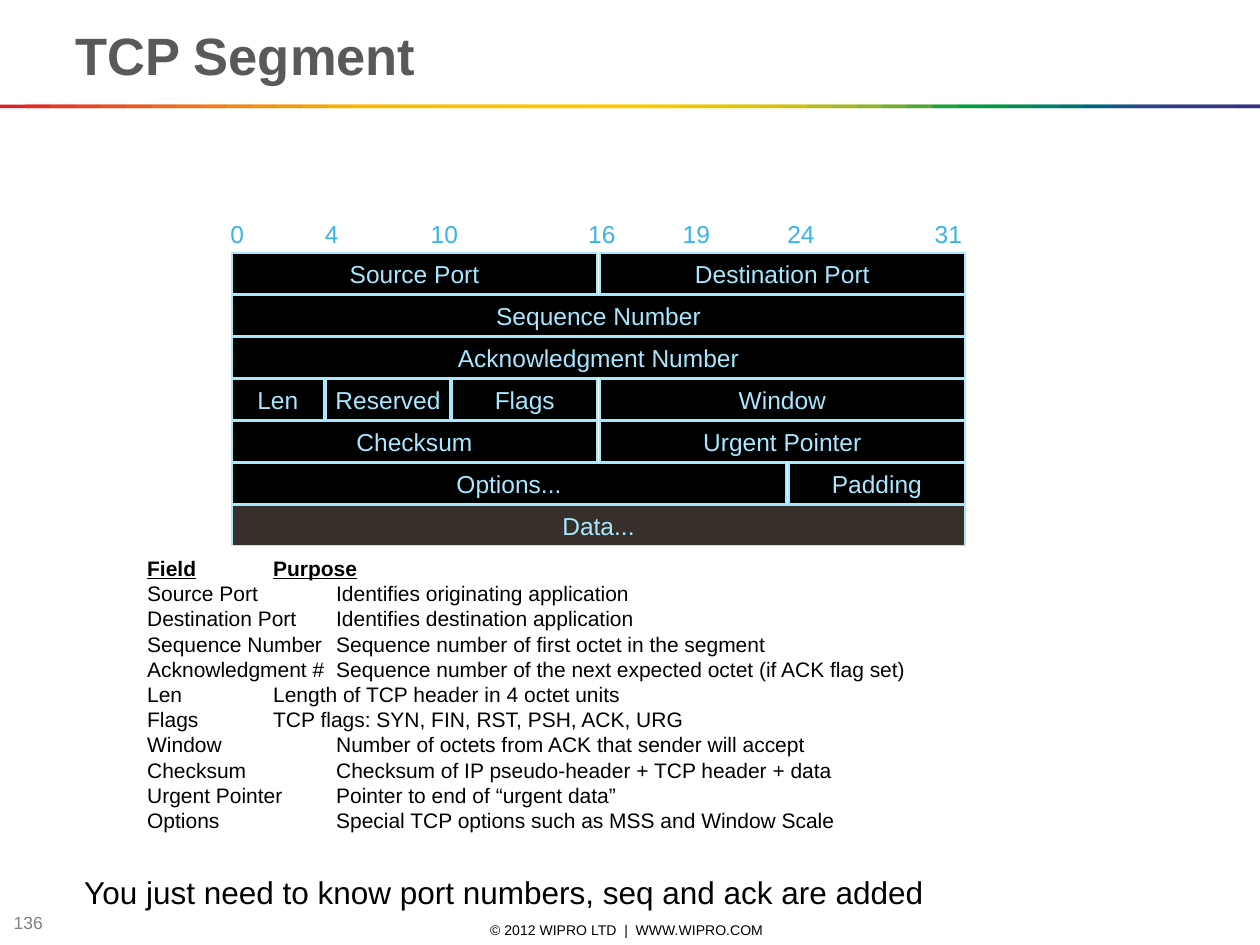
"""Build the TCP segment slide with its header diagram and field list."""
from dataclasses import dataclass

import pptx
import pptx.dml.color
import pptx.enum.shapes
import pptx.enum.text
import pptx.oxml
import pptx.oxml.ns
import pptx.util

Inches = pptx.util.Inches
Pt = pptx.util.Pt
Align = pptx.enum.text.PP_ALIGN
Anchor = pptx.enum.text.MSO_ANCHOR

FONT = "Arial"
COLORS = {
    "title": "595959",
    "text": "000000",
    "number": "808080",
    "cell": "000000",
    "data": "37302A",
    "border": "A7E8FF",
    "bit": "39B3E9",
    "band": (
        "E31E24 E42C24 E53A24 E74623 E85122 EA5D21 EC691F EE741D EF7E1A F18817 "
        "F39314 F49C0F F6A607 F8B002 FBBA00 FBBB00 FBBD00 FCBF00 FCC000 FCC200 "
        "FDC400 FDC600 FDC700 FEC900 FECB00 FBCB00 F3CA00 ECC800 E4C602 DCC50A "
        "D5C30E CCC117 B8BC21 A3B829 8CB230 71AD36 51A73B 1DA240 009D43 009846 "
        "008C57 008068 007275 00637F 185384 2E4285 313E85 333B85 353885 393185"
    ),
}

BIT_X = {0: 1.84, 4: 2.59, 10: 3.59, 16: 4.76, 24: 6.26, 32: 7.68}
ROW_TOP, ROW_PITCH, ROW_HEIGHT, GAP = 2.01, 1 / 3, 0.32, 0.02


@dataclass
class Cell:
    text: str
    row: int
    start: int
    end: int
    fill: str = "cell"


@dataclass
class Label:
    text: str
    x: float
    y: float
    w: float
    h: float
    size: float
    color: str = "text"
    bold: bool = False
    align: Align = Align.LEFT
    anchor: Anchor = Anchor.TOP
    wrap: bool = True
    margin: float = 0.05


@dataclass
class Field:
    name: str
    purpose: str
    tab: float = 1.5
    heading: bool = False


CELLS = [
    Cell("Source Port", 0, 0, 16),
    Cell("Destination Port", 0, 16, 32),
    Cell("Sequence Number", 1, 0, 32),
    Cell("Acknowledgment Number", 2, 0, 32),
    Cell("Len", 3, 0, 4),
    Cell("Reserved", 3, 4, 10),
    Cell("Flags", 3, 10, 16),
    Cell("Window", 3, 16, 32),
    Cell("Checksum", 4, 0, 16),
    Cell("Urgent Pointer", 4, 16, 32),
    Cell("Options...", 5, 0, 24),
    Cell("Padding", 5, 24, 32),
    Cell("Data...", 6, 0, 32, "data"),
]

BIT_LABELS = {"0": 1.73, "4": 2.48, "10": 3.32, "16": 4.57, "19": 5.32, "24": 6.15, "31": 7.32}

LABELS = [
    Label("© 2012 WIPRO LTD  |  WWW.WIPRO.COM", 3.39, 7.3, 3.17, 0.16, 8,
          align=Align.CENTER, anchor=Anchor.MIDDLE, margin=0),
    Label("136", 0.01, 7.22, 0.75, 0.21, 10, "number", anchor=Anchor.MIDDLE, margin=0),
    Label("TCP Segment", 0.5, 0.12, 9, 0.61, 30, "title", True, anchor=Anchor.BOTTOM),
    Label("You just need to know port numbers, seq and ack are added", 0.57, 6.88, 9.12, 0.5, 18),
] + [
    Label(bit, x, 1.69, 0.31 if len(bit) == 1 else 0.42, 0.33, 14, "bit", wrap=False)
    for bit, x in BIT_LABELS.items()
]

FIELDS = [
    Field("Field", "Purpose", 1, True),
    Field("Source Port", "Identifies originating application"),
    Field("Destination Port", "Identifies destination application"),
    Field("Sequence Number", "Sequence number of first octet in the segment"),
    Field("Acknowledgment #", "Sequence number of the next expected octet (if ACK flag set)"),
    Field("Len", "Length of TCP header in 4 octet units", 1),
    Field("Flags", "TCP flags: SYN, FIN, RST, PSH, ACK, URG", 1),
    Field("Window", "Number of octets from ACK that sender will accept"),
    Field("Checksum", "Checksum of IP pseudo-header + TCP header + data"),
    Field("Urgent Pointer", "Pointer to end of “urgent data”"),
    Field("Options", "Special TCP options such as MSS and Window Scale"),
]


def rgb(value: str) -> pptx.dml.color.RGBColor:
    """Turn a hex string into a colour."""
    return pptx.dml.color.RGBColor.from_string(value)


def add_run(p, text: str, size: float, color: str, bold: bool = False, underline: bool = False) -> None:
    """Add one formatted run to a paragraph."""
    r = p.add_run()
    r.text = text
    r.font.name = FONT
    r.font.size = Pt(size)
    r.font.bold = bold
    r.font.underline = underline
    r.font.color.rgb = rgb(COLORS[color])


def add_rect(s, x: float, y: float, w: float, h: float, fill: str):
    """Draw a filled rectangle with no outline."""
    sp = s.shapes.add_shape(
        pptx.enum.shapes.MSO_SHAPE.RECTANGLE, Inches(x), Inches(y), Inches(w), Inches(h))
    sp.shadow.inherit = False
    sp.fill.solid()
    sp.fill.fore_color.rgb = rgb(fill)
    sp.line.fill.background()
    return sp


def add_band(s) -> None:
    """Draw the rainbow rule under the title."""
    hues = COLORS["band"].split()
    step = 10 / len(hues)
    for i, hue in enumerate(hues):
        x = i * step
        add_rect(s, x, 0.83, min(2 * step, 10 - x), 0.03, hue)


def add_cell(s, cell: Cell) -> None:
    """Draw one header field of the segment."""
    x = BIT_X[cell.start]
    sp = add_rect(s, x, ROW_TOP + cell.row * ROW_PITCH, BIT_X[cell.end] - x - GAP,
                  ROW_HEIGHT, COLORS[cell.fill])
    sp.line.color.rgb = rgb(COLORS["border"])
    sp.line.width = Pt(1)
    tf = sp.text_frame
    tf.word_wrap = False
    tf.vertical_anchor = Anchor.MIDDLE
    tf.paragraphs[0].alignment = Align.CENTER
    add_run(tf.paragraphs[0], cell.text, 14, "border")


def add_label(s, label: Label) -> None:
    """Place one line of text."""
    sp = s.shapes.add_textbox(Inches(label.x), Inches(label.y), Inches(label.w), Inches(label.h))
    tf = sp.text_frame
    tf.word_wrap = label.wrap
    tf.vertical_anchor = label.anchor
    tf.margin_top = tf.margin_bottom = Inches(label.margin)
    p = tf.paragraphs[0]
    p.alignment = label.align
    add_run(p, label.text, label.size, label.color, label.bold)


def add_fields(s, fields: list[Field]) -> None:
    """Write the field list with a tab stop before each purpose."""
    tf = s.shapes.add_textbox(Inches(1.07), Inches(4.36), Inches(6.73), Inches(2.3)).text_frame
    tf.word_wrap = True
    for i, field in enumerate(fields):
        p = tf.add_paragraph() if i else tf.paragraphs[0]
        tabs = pptx.oxml.parse_xml(
            f'<a:tabLst {pptx.oxml.ns.nsdecls("a")}>'
            f'<a:tab pos="{Inches(field.tab)}" algn="l"/></a:tabLst>')
        p._p.get_or_add_pPr().append(tabs)
        add_run(p, field.name, 12, "text", field.heading, field.heading)
        add_run(p, "\t", 12, "text")
        add_run(p, field.purpose, 12, "text", field.heading, field.heading)


def main() -> None:
    """Assemble and save the slide."""
    prs = pptx.Presentation()
    prs.slide_width, prs.slide_height = Inches(10), Inches(7.5)
    s = prs.slides.add_slide(prs.slide_layouts[6])
    add_band(s)
    for cell in CELLS:
        add_cell(s, cell)
    for label in LABELS:
        add_label(s, label)
    add_fields(s, FIELDS)
    prs.save("out.pptx")


if __name__ == "__main__":
    main()
